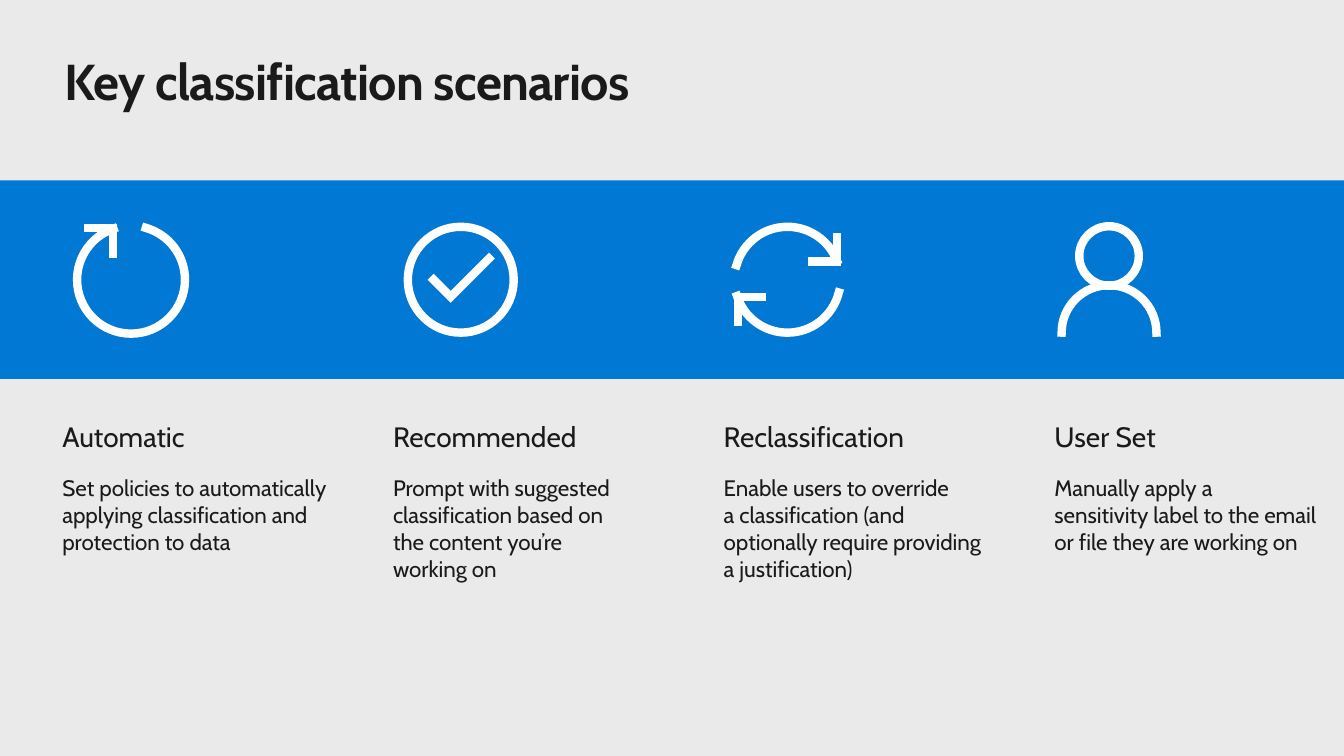
from dataclasses import dataclass
from math import ceil, cos, floor, radians, sin, tan

from lxml.etree import SubElement
from pptx import Presentation
from pptx.dml.color import RGBColor
from pptx.enum.shapes import MSO_SHAPE as Preset
from pptx.enum.text import MSO_ANCHOR as Anchor, PP_ALIGN as Align
from pptx.oxml.ns import qn
from pptx.shapes.autoshape import Shape
from pptx.slide import Slide
from pptx.text.text import _Paragraph as Paragraph
from pptx.util import Inches, Pt

Point = tuple[float, float]


@dataclass(frozen=True)
class Theme:
    font: str = "Cabin"
    background: RGBColor = RGBColor(0xEA, 0xEA, 0xEA)
    band: RGBColor = RGBColor(0x00, 0x78, 0xD4)
    icon: RGBColor = RGBColor(0xFF, 0xFF, 0xFF)
    ink: RGBColor = RGBColor(0x1A, 0x1A, 0x1A)
    title_size: float = 36
    heading_size: float = 20
    body_size: float = 16
    icon_stroke: float = 6


@dataclass(frozen=True)
class Grid:
    """Columns and rows of the slide, in inches."""
    width: float = 13.33
    height: float = 7.5
    left: float = 0.52
    pitch: float = 3.28
    column_width: float = 2.9
    band_top: float = 1.79
    band_height: float = 1.97
    text_top: float = 4.06

    def column(self, index: int) -> float:
        return self.left + index * self.pitch

    @property
    def icon_middle(self) -> float:
        return self.band_top + self.band_height / 2


@dataclass(frozen=True)
class Stroke:
    """One pen stroke, in inches from the icon's centre.

    A curved stroke lists two control points and an end for each Bézier piece.
    """
    points: list[Point]
    curved: bool = False
    closed: bool = False


@dataclass(frozen=True)
class Scenario:
    heading: str
    description: str
    icon_offset: float
    icon: list[Stroke]
    text_height: float = 1.84


THEME = Theme()
GRID = Grid()
RADIUS = 0.525


def arc(start: float, end: float, radius: float = RADIUS, middle: float = 0) -> Stroke:
    """Clockwise arc between two angles in degrees, 0 pointing right, cut at quadrants."""
    quadrants = range(floor(start / 90) + 1, ceil(end / 90))
    cuts = [radians(angle) for angle in (start, *(90 * q for q in quadrants), end)]

    def at(angle: float, reach: float = 0) -> Point:
        """Point on the circle, moved along its tangent by a share of the radius."""
        return (radius * (cos(angle) - reach * sin(angle)),
                middle + radius * (sin(angle) + reach * cos(angle)))

    points = [at(cuts[0])]
    for first, last in zip(cuts, cuts[1:]):
        reach = 4 / 3 * tan((last - first) / 4)
        points += [at(first, reach), at(last, -reach), at(last)]
    return Stroke(points, curved=True, closed=end - start == 360)


AUTOMATIC_ICON = [
    arc(-74, 251, 0.535),
    Stroke([(-0.18, -0.26), (-0.18, -0.51), (-0.42, -0.51)]),
]
RECOMMENDED_ICON = [
    arc(0, 360),
    Stroke([(-0.27, 0), (-0.1, 0.17), (0.28, -0.21)]),
]
RECLASSIFICATION_ICON = [
    arc(14, 162),
    arc(-164, -21),
    Stroke([(0.25, -0.18), (0.49, -0.18), (0.49, -0.42)]),
    Stroke([(-0.25, 0.17), (-0.49, 0.17), (-0.49, 0.42)]),
]
USER_ICON = [
    arc(0, 360, 0.295, -0.235),
    arc(180, 360, 0.47, RADIUS),
]

SCENARIOS = [
    Scenario("Automatic",
             "Set policies to automatically applying classification and protection to data",
             0.78, AUTOMATIC_ICON, text_height=2.25),
    Scenario("Recommended",
             "Prompt with suggested classification based on \nthe content you’re \nworking on",
             0.77, RECOMMENDED_ICON),
    Scenario("Reclassification",
             "Enable users to override \na classification (and optionally require "
             "providing a justification)",
             0.73, RECLASSIFICATION_ICON),
    Scenario("User Set",
             "Manually apply a \nsensitivity label to the email or file they are working on",
             0.64, USER_ICON),
]


def set_font(paragraph: Paragraph, size: float, bold: bool = False) -> None:
    font = paragraph.font
    font.name = THEME.font
    font.size = Pt(size)
    font.bold = bold
    font.color.rgb = THEME.ink


def add_title(slide: Slide, text: str) -> None:
    title = slide.shapes.title
    title.left, title.top = Inches(0.64), Inches(0.5)
    title.width, title.height = Inches(12.05), Inches(0.61)
    frame = title.text_frame
    frame.margin_left = frame.margin_right = frame.margin_top = frame.margin_bottom = 0
    frame.vertical_anchor = Anchor.TOP
    frame.text = text
    paragraph = frame.paragraphs[0]
    paragraph.alignment = Align.LEFT
    set_font(paragraph, THEME.title_size, bold=True)
    paragraph.runs[0].font._element.set("spc", "-50")


def add_band(slide: Slide) -> None:
    band = slide.shapes.add_shape(Preset.RECTANGLE, 0, Inches(GRID.band_top),
                                  Inches(GRID.width), Inches(GRID.band_height))
    band.shadow.inherit = False
    band.fill.solid()
    band.fill.fore_color.rgb = THEME.band
    band.line.fill.background()


def bend_curves(icon: Shape, strokes: list[Stroke]) -> None:
    """Join each three line segments of the curved strokes into one Bézier piece."""
    outline = next(icon._element.iter(qn("a:path")))
    segments = iter(outline.findall(qn("a:lnTo")))
    for stroke in strokes:
        pieces = [next(segments) for _ in stroke.points[1:]]
        if not stroke.curved:
            continue
        for control, second, end in zip(pieces[::3], pieces[1::3], pieces[2::3]):
            curve = SubElement(outline, qn("a:cubicBezTo"))
            control.addprevious(curve)
            for piece in (control, second, end):
                curve.append(piece[0])
                outline.remove(piece)


def add_icon(slide: Slide, strokes: list[Stroke], center: float) -> None:
    def place(point: Point) -> tuple[int, int]:
        return Inches(center + point[0]), Inches(GRID.icon_middle + point[1])

    builder = slide.shapes.build_freeform(*place(strokes[0].points[0]))
    for index, stroke in enumerate(strokes):
        start, *rest = [place(point) for point in stroke.points]
        if index:
            builder.move_to(*start)
        builder.add_line_segments(rest, close=stroke.closed)
    icon = builder.convert_to_shape()
    bend_curves(icon, strokes)
    icon.shadow.inherit = False
    icon.fill.background()
    icon.line.color.rgb = THEME.icon
    icon.line.width = Pt(THEME.icon_stroke)
    line = icon.line._get_or_add_ln()
    line.set("cap", "sq")
    SubElement(line, qn("a:miter"), lim="800000")


def add_text(slide: Slide, scenario: Scenario, left: float) -> None:
    box = slide.shapes.add_textbox(Inches(left), Inches(GRID.text_top),
                                   Inches(GRID.column_width), Inches(scenario.text_height))
    frame = box.text_frame
    frame.word_wrap = True
    frame.margin_left = frame.margin_right = Inches(0.1)
    frame.margin_top = frame.margin_bottom = Inches(0.1)
    heading = frame.paragraphs[0]
    heading.text = scenario.heading
    heading.space_after = Pt(12)
    set_font(heading, THEME.heading_size)
    description = frame.add_paragraph()
    description.text = scenario.description
    description.space_before = Pt(3.2)
    set_font(description, THEME.body_size)


def main() -> None:
    deck = Presentation()
    deck.slide_width, deck.slide_height = Inches(GRID.width), Inches(GRID.height)
    slide = deck.slides.add_slide(deck.slide_layouts[5])
    slide.background.fill.solid()
    slide.background.fill.fore_color.rgb = THEME.background
    add_title(slide, "Key classification scenarios")
    add_band(slide)
    for index, scenario in enumerate(SCENARIOS):
        left = GRID.column(index)
        add_text(slide, scenario, left)
        add_icon(slide, scenario.icon, left + scenario.icon_offset)
    deck.save("out.pptx")


if __name__ == "__main__":
    main()
